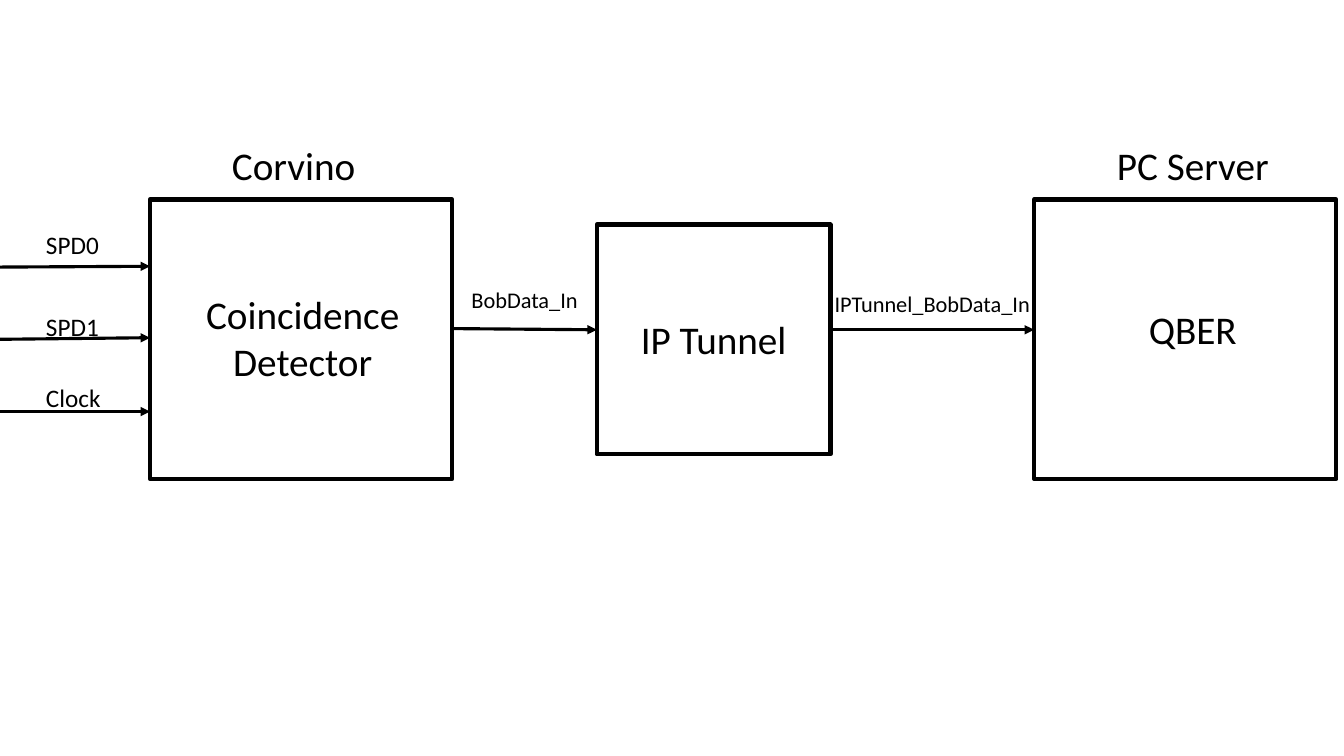
from lxml import etree
from pptx import Presentation
from pptx import util as u
from pptx.dml.color import RGBColor
from pptx.enum import shapes, text
from pptx.oxml import ns

BLACK = RGBColor(0, 0, 0)
FONT = "Calibri"
LABEL_WIDTH = 8
SIGNAL_WIDTH = 6.98
LINE_HEIGHT = {28: 1.45, 18: 1.02, 16: 0.94}


def add_label(slide, wording, left, top, width, size, align=text.PP_ALIGN.CENTER):
    """Add a wrapped line of text at a place given in centimetres."""
    label = slide.shapes.add_textbox(
        u.Cm(left), u.Cm(top), u.Cm(width), u.Cm(LINE_HEIGHT[size]))
    label.text_frame.word_wrap = True
    paragraph = label.text_frame.paragraphs[0]
    paragraph.text = wording
    paragraph.alignment = align
    paragraph.font.name = FONT
    paragraph.font.size = u.Pt(size)
    paragraph.font.color.rgb = BLACK


def add_arrow(slide, start, end):
    """Add a black arrow between two points given in centimetres."""
    arrow = slide.shapes.add_connector(
        shapes.MSO_CONNECTOR.STRAIGHT, *map(u.Cm, start + end))
    arrow.line.color.rgb = BLACK
    arrow.line.width = u.Pt(2.25)
    etree.SubElement(arrow.line._get_or_add_ln(), ns.qn("a:tailEnd"), type="triangle")
    etree.SubElement(arrow._element.spPr, ns.qn("a:effectLst"))


def add_stage(slide, box, name, name_drop, host="", name_shift=0, host_shift=0):
    """Draw a processing stage with its name inside and its host above."""
    left, top, width, height = box
    stage = slide.shapes.add_shape(shapes.MSO_SHAPE.RECTANGLE, *map(u.Cm, box))
    stage.shadow.inherit = False
    stage.fill.background()
    stage.line.color.rgb = BLACK
    stage.line.width = u.Pt(3)
    label_left = left + (width - LABEL_WIDTH) / 2
    add_label(slide, name, label_left + name_shift, top + name_drop, LABEL_WIDTH, 28)
    if host:
        add_label(slide, host, label_left + host_shift, top - 1.6, LABEL_WIDTH, 28)


def add_inputs(slide, box):
    """Draw the incoming signals that end on the left side of a box."""
    left, top = box[:2]
    inputs = [("SPD0", 0.02, 1.07), ("SPD1", 0.04, 0.83), ("Clock", 0, 0.86)]
    for index, (signal, rise, lift) in enumerate(inputs):
        level = top + 1.7 + 1.82 * index
        add_arrow(slide, (0, level), (left, level - rise))
        add_label(slide, signal, 0.91, level - lift, 2.87, 18, text.PP_ALIGN.LEFT)


def add_link(slide, source, target, signal, lift, rise=0):
    """Join two stages with an arrow and centre its signal name above it."""
    start, end, level = source[0] + source[2], target[0], 8.31
    add_arrow(slide, (start, level - rise), (end, level))
    add_label(slide, signal, (start + end - SIGNAL_WIDTH) / 2, level - lift,
              SIGNAL_WIDTH, 16)


def main():
    """Build the slide and save it."""
    presentation = Presentation()
    presentation.slide_width = u.Cm(33.87)
    presentation.slide_height = u.Cm(19.05)
    slide = presentation.slides.add_slide(presentation.slide_layouts[6])
    detector = (3.78, 5.03, 7.62, 7.04)
    tunnel = (15.04, 5.66, 5.89, 5.79)
    server = (26.06, 5.03, 7.62, 7.04)
    add_stage(slide, detector, "Coincidence Detector", 2.16, "Corvino", 0.04, -0.19)
    add_stage(slide, tunnel, "IP Tunnel", 2.16)
    add_stage(slide, server, "QBER", 2.54, "PC Server", 0.19, 0.19)
    add_inputs(slide, detector)
    add_link(slide, detector, tunnel, "BobData_In", 1.22, 0.03)
    add_link(slide, tunnel, server, "IPTunnel_BobData_In", 1.12)
    presentation.save("out.pptx")


if __name__ == "__main__":
    main()
